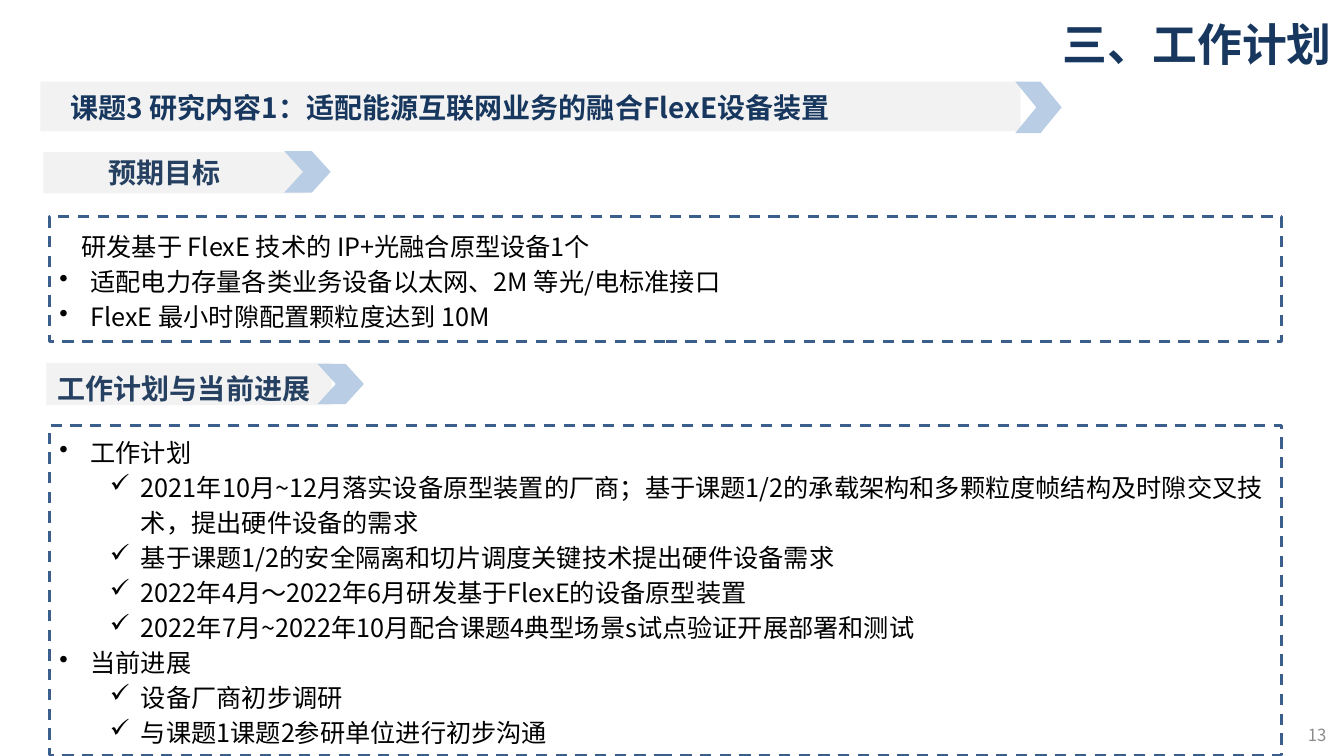
from lxml import etree
from pptx import Presentation
from pptx.dml.color import RGBColor
from pptx.enum import dml, shapes, text
from pptx.oxml.ns import qn
from pptx.util import Inches, Pt

FACE = "Noto Sans CJK SC"
NAVY = RGBColor(0x17, 0x37, 0x5E)
SLATE = RGBColor(0x25, 0x40, 0x61)
EDGE = RGBColor(0x3A, 0x5F, 0x8C)
PALE = RGBColor(0xF2, 0xF2, 0xF2)
SKY = RGBColor(0xB9, 0xCD, 0xE5)
GRAY = RGBColor(0x8C, 0x8C, 0x8C)
BLACK = RGBColor(0, 0, 0)

LEFT, CENTER, RIGHT = (
    text.PP_ALIGN.LEFT, text.PP_ALIGN.CENTER, text.PP_ALIGN.RIGHT)
MIDDLE = text.MSO_ANCHOR.MIDDLE

GOALS = [
    ("", "研发基于 FlexE 技术的 IP+光融合原型设备1个"),
    ("•", "适配电力存量各类业务设备以太网、2M 等光/电标准接口"),
    ("•", "FlexE 最小时隙配置颗粒度达到 10M"),
]
PLANS = [
    ("•", "工作计划"),
    ("✓", "2021年10月~12月落实设备原型装置的厂商；基于课题1/2的承载架构和"
          "多颗粒度帧结构及时隙交叉技术，提出硬件设备的需求"),
    ("✓", "基于课题1/2的安全隔离和切片调度关键技术提出硬件设备需求"),
    ("✓", "2022年4月～2022年6月研发基于FlexE的设备原型装置"),
    ("✓", "2022年7月~2022年10月配合课题4典型场景s试点验证开展部署和测试"),
    ("•", "当前进展"),
    ("✓", "设备厂商初步调研"),
    ("✓", "与课题1课题2参研单位进行初步沟通"),
]
INDENTS = {"": (0, 0.22), "•": (0.31, -0.31), "✓": (0.81, -0.31)}


def style(para, size, color, bold=False, align=LEFT):
    para.alignment = align
    font = para.font
    font.size, font.bold, font.name = Pt(size), bold, FACE
    font.color.rgb = color
    props = para._p.pPr.find(qn("a:defRPr"))
    etree.SubElement(props, qn("a:ea"), typeface=FACE)


def indent(para, mark):
    margin, first = INDENTS[mark]
    props = para._p.get_or_add_pPr()
    props.set("marL", str(Inches(margin)))
    props.set("indent", str(Inches(first)))
    if mark:
        etree.SubElement(props, qn("a:buChar"), char=mark)


def shape(slide, kind, box, fill=None):
    item = slide.shapes.add_shape(kind, *map(Inches, box))
    item.shadow.inherit = False
    item.line.fill.background()
    if fill is None:
        item.fill.background()
    else:
        item.fill.solid()
        item.fill.fore_color.rgb = fill
    return item


def label(slide, words, box, size, color, bold=True, align=CENTER):
    frame = slide.shapes.add_textbox(*map(Inches, box)).text_frame
    frame.word_wrap = True
    frame.margin_left = frame.margin_right = 0
    frame.margin_top = frame.margin_bottom = 0
    frame.vertical_anchor = MIDDLE
    frame.text = words
    style(frame.paragraphs[0], size, color, bold, align)


def banner(slide, bar, tip, words, box, color, align=CENTER):
    shape(slide, shapes.MSO_SHAPE.RECTANGLE, bar, PALE)
    arrow = shape(slide, shapes.MSO_SHAPE.CHEVRON, tip, SKY)
    arrow.adjustments[0] = 0.455
    label(slide, words, box, 20, color, align=align)


def panel(slide, top, height, items):
    box = shape(slide, shapes.MSO_SHAPE.RECTANGLE, (0.49, top, 12.22, height))
    box.line.color.rgb = EDGE
    box.line.width = Pt(2)
    box.line.dash_style = dml.MSO_LINE.DASH
    frame = box.text_frame
    frame.word_wrap = True
    frame.vertical_anchor = MIDDLE
    frame.text = "\n".join(words for _, words in items)
    for para, (mark, _) in zip(frame.paragraphs, items):
        para.level = 1 if mark == "✓" else 0
        para.line_spacing = Pt(25)
        indent(para, mark)
        style(para, 18, BLACK)


def heading(slide, words):
    title = slide.shapes.title
    title.left, title.top = Inches(5.54), Inches(0.1)
    title.width, title.height = Inches(7.8), Inches(0.67)
    frame = title.text_frame
    frame.margin_left = frame.margin_right = Inches(0.13)
    frame.margin_top = frame.margin_bottom = Inches(0.07)
    frame.vertical_anchor = MIDDLE
    frame.text = words
    style(frame.paragraphs[0], 32, NAVY, True, RIGHT)


def main():
    deck = Presentation()
    deck.slide_width, deck.slide_height = Inches(13.33), Inches(7.5)
    slide = deck.slides.add_slide(deck.slide_layouts[5])
    heading(slide, "三、工作计划")
    banner(slide, (0.4, 0.81, 9.72, 0.49), (10.07, 0.81, 0.46, 0.51),
           "课题3 研究内容1：适配能源互联网业务的融合FlexE设备装置",
           (0.7, 0.89, 9.3, 0.34), NAVY, LEFT)
    banner(slide, (0.43, 1.51, 2.6, 0.41), (2.82, 1.5, 0.46, 0.41),
           "预期目标", (0.46, 1.54, 2.35, 0.34), SLATE)
    panel(slide, 2.15, 1.24, GOALS)
    banner(slide, (0.46, 3.6, 2.83, 0.42), (3.15, 3.61, 0.46, 0.4),
           "工作计划与当前进展", (0.27, 3.68, 3.11, 0.34), SLATE)
    panel(slide, 4.22, 3.27, PLANS)
    label(slide, "13", (12.8, 7.09, 0.53, 0.4), 12, GRAY, False)
    deck.save("out.pptx")


if __name__ == "__main__":
    main()
